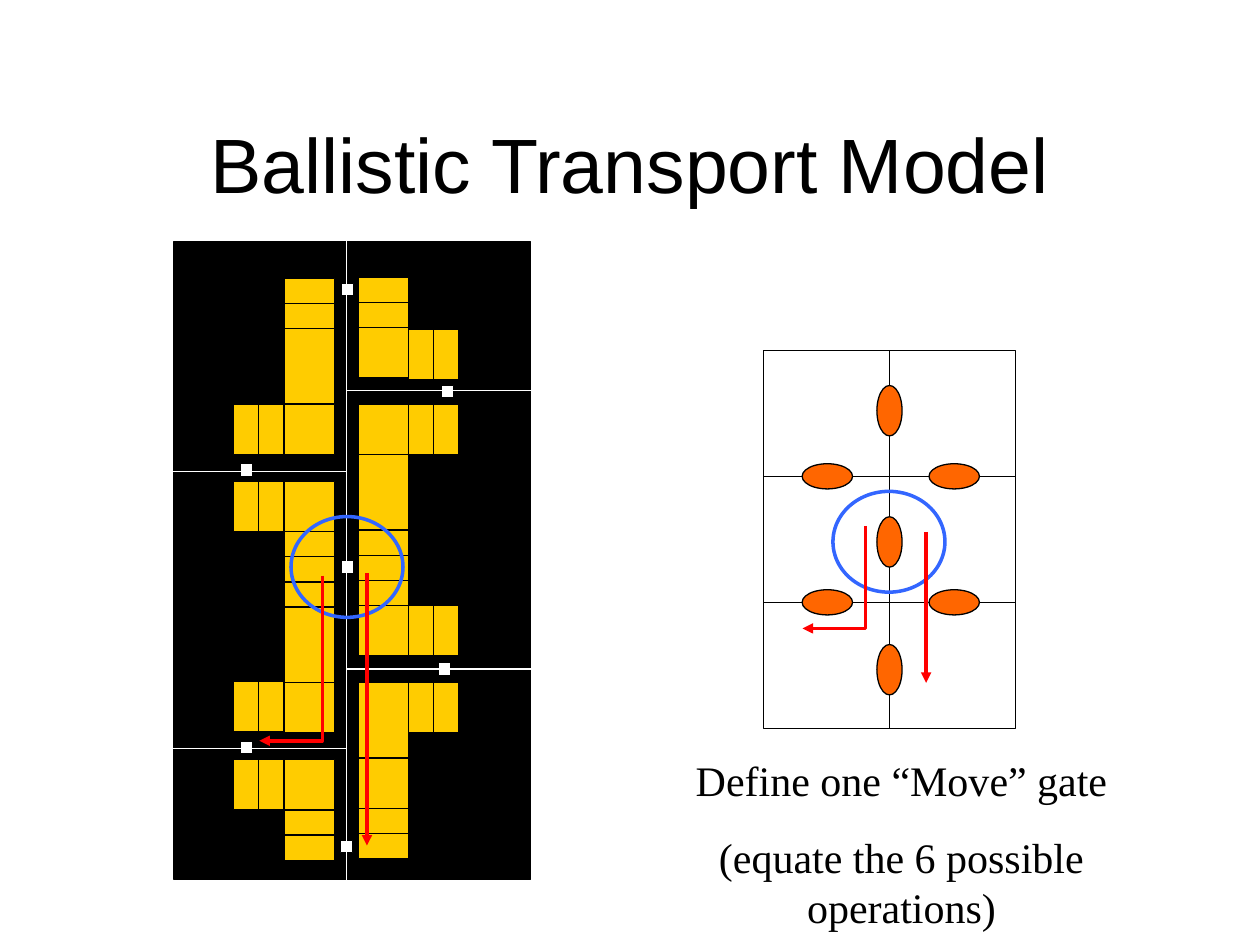
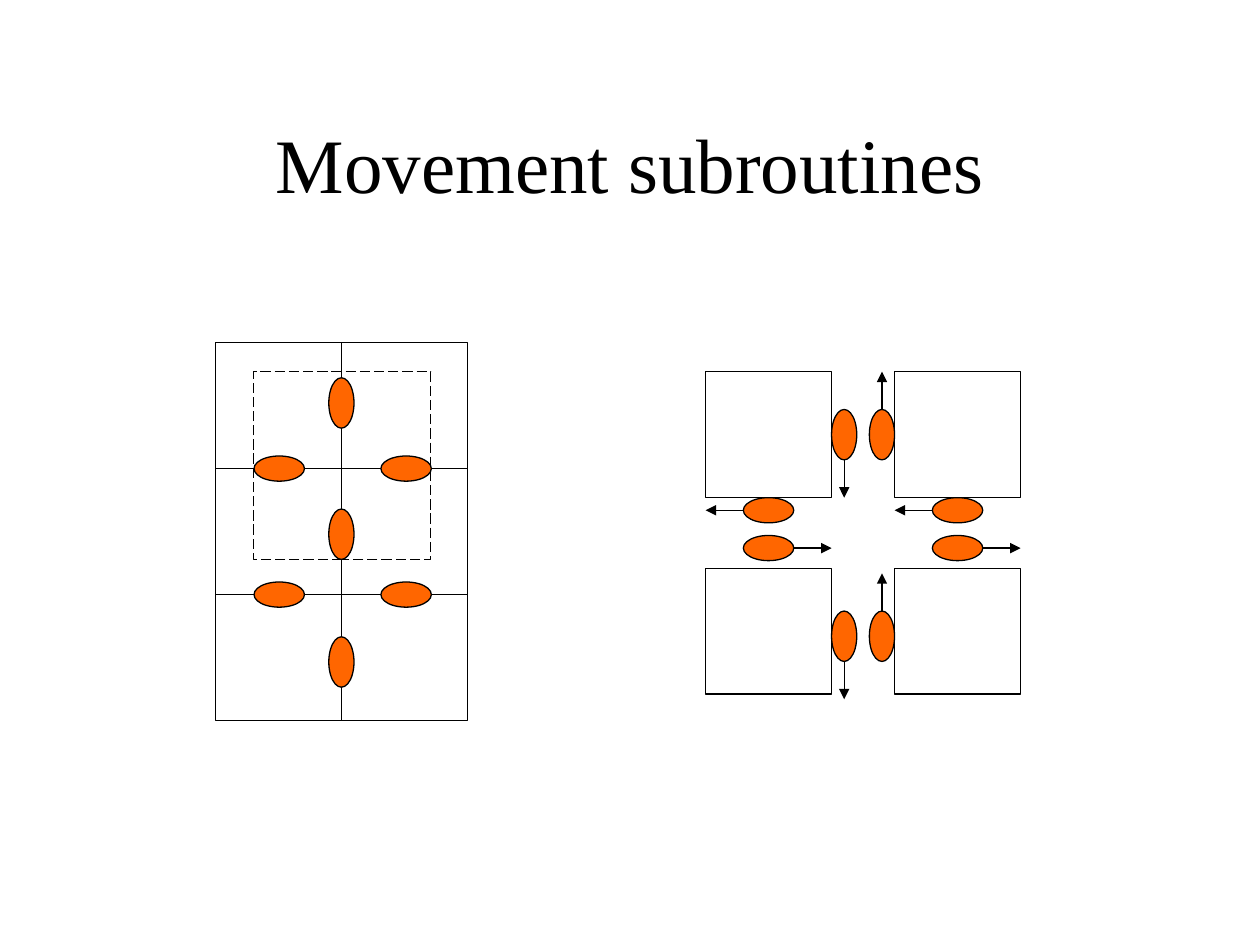
from itertools import product

from lxml import etree
from pptx import Presentation
from pptx.dml.color import RGBColor
from pptx.enum.dml import MSO_LINE
from pptx.enum.shapes import MSO_CONNECTOR, MSO_SHAPE
from pptx.enum.text import MSO_ANCHOR, MSO_AUTO_SIZE, PP_ALIGN
from pptx.oxml.ns import qn
from pptx.util import Pt

RECTANGLE = MSO_SHAPE.RECTANGLE
OVAL = MSO_SHAPE.OVAL
STRAIGHT = MSO_CONNECTOR.STRAIGHT
ELBOW = MSO_CONNECTOR.ELBOW
LONG_DASH = MSO_LINE.LONG_DASH
CENTER = PP_ALIGN.CENTER
MIDDLE = MSO_ANCHOR.MIDDLE
FIT_SHAPE = MSO_AUTO_SIZE.SHAPE_TO_FIT_TEXT

BLACK, WHITE, RED = "000000", "FFFFFF", "FF0000"
GOLD, ORANGE, BLUE = "FFCC00", "FF6600", "3366FF"
SANS, SERIF = "Arial", "Times New Roman"
TITLE_ONLY = 5
UNIT = 14.4
TILE = 72
GATE_LONG, GATE_SHORT = 28.8, 14.4


def color(value):
    """Return the colour for a hex string."""
    return RGBColor.from_string(value)


def write_text(frame, text, font=SERIF, size=24, ink=BLACK, space_before=0):
    """Fill a text frame with one centred paragraph per line of text."""
    frame.word_wrap = True
    for index, line in enumerate(text.split("\n")):
        paragraph = frame.paragraphs[0] if index == 0 else frame.add_paragraph()
        paragraph.alignment = CENTER
        if index:
            paragraph.space_before = Pt(space_before)
        run = paragraph.add_run()
        run.text = line
        run.font.name = font
        run.font.size = Pt(size)
        run.font.color.rgb = color(ink)


class Deck:
    """Hold the presentation, its shared style and the current slide."""

    def __init__(self):
        """Start an empty 10 by 7.5 inch presentation."""
        self.presentation = Presentation()
        self.presentation.slide_width = Pt(720)
        self.presentation.slide_height = Pt(540)
        self.slide = None

    def add_slide(self, title, font):
        """Add a slide with a centred title."""
        layout = self.presentation.slide_layouts[TITLE_ONLY]
        self.slide = self.presentation.slides.add_slide(layout)
        shape = self.slide.shapes.title
        shape.left, shape.top = Pt(54), Pt(48)
        shape.width, shape.height = Pt(612), Pt(90)
        shape.text_frame.vertical_anchor = MIDDLE
        write_text(shape.text_frame, title, font=font, size=44)

    def shape(self, kind, left, top, width, height, fill=None, line=BLACK,
              weight=0.75, dash=None):
        """Draw a preset shape."""
        shape = self.slide.shapes.add_shape(
            kind, Pt(left), Pt(top), Pt(width), Pt(height))
        shape.shadow.inherit = False
        if fill:
            shape.fill.solid()
            shape.fill.fore_color.rgb = color(fill)
        else:
            shape.fill.background()
        shape.line.color.rgb = color(line)
        shape.line.width = Pt(weight)
        if dash:
            shape.line.dash_style = dash

    def gate(self, center_x, center_y, upright=False):
        """Draw an orange gate around its centre."""
        width, height = GATE_LONG, GATE_SHORT
        if upright:
            width, height = height, width
        self.shape(OVAL, center_x - width / 2, center_y - height / 2,
                   width, height, fill=ORANGE)

    def arrow(self, x1, y1, x2, y2, line=BLACK, weight=0.75, kind=STRAIGHT):
        """Draw a connector with an arrowhead at its end."""
        connector = self.slide.shapes.add_connector(
            kind, Pt(x1), Pt(y1), Pt(x2), Pt(y2))
        connector.line.color.rgb = color(line)
        connector.line.width = Pt(weight)
        properties = connector._element.spPr
        etree.SubElement(properties.find(qn("a:ln")), qn("a:tailEnd"),
                         type="triangle")
        etree.SubElement(properties, qn("a:effectLst"))
        return connector

    def turn_arrow(self, x, y, drop, run):
        """Draw a red arrow that goes down and then turns left."""
        left = x - run / 2 - drop / 2
        top = y + drop / 2 - run / 2
        connector = self.arrow(left, top, left + drop, top + run,
                               line=RED, weight=2, kind=ELBOW)
        properties = connector._element.spPr
        properties.find(qn("a:xfrm")).set("rot", "5400000")
        properties.find(qn("a:prstGeom")).set("prst", "bentConnector2")

    def focus_ring(self, left, top):
        """Draw the blue ring that marks the studied gate."""
        self.shape(OVAL, left, top, 64, 57.6, line=BLUE, weight=2)

    def text_box(self, left, top, width, height, text, **text_format):
        """Add a text box."""
        box = self.slide.shapes.add_textbox(
            Pt(left), Pt(top), Pt(width), Pt(height))
        write_text(box.text_frame, text, **text_format)
        box.text_frame.auto_size = FIT_SHAPE

    def tile_map(self, left, top):
        """Draw a grid of two by three tiles with gates on its inner edges."""
        for row, column in product(range(3), range(2)):
            self.shape(RECTANGLE, left + column * TILE, top + row * TILE,
                       TILE, TILE)
        for row, x in product((1, 2), (36.5, 109)):
            self.gate(left + x, top + row * TILE)
        for y in (34.5, 109.5, 182.5):
            self.gate(left + TILE, top + y, upright=True)


def draw_electrodes(deck):
    """Draw the black trap layout with its gold electrodes."""
    deck.shape(RECTANGLE, 99.4, 138.2, 203.8, 364.3, fill=BLACK)
    stacks = [
        (162.5, 159, (1, 1, 3, 2)),
        (162.5, 275, (2, 1, 1, 1, 3, 2)),
        (162.5, 434, (2, 1, 1)),
        (205, 158.5, (1, 1, 2)),
        (205, 231, (2, 3, 1, 1, 1, 2)),
        (205, 390, (3, 2, 1, 1)),
    ]
    for left, top, heights in stacks:
        for units in heights:
            deck.shape(RECTANGLE, left, top, 2 * UNIT, units * UNIT, fill=GOLD)
            top += units * UNIT
    arms = [(133.5, (231, 275, 389.5, 434)), (233.5, (188, 231, 346, 390))]
    for left, tops in arms:
        for top, column in product(tops, range(2)):
            deck.shape(RECTANGLE, left + column * UNIT, top, UNIT, 2 * UNIT,
                       fill=GOLD)
    ions = [(195, 162), (252, 220.3), (137.5, 265), (195, 320.4),
            (250.6, 378.7), (137.5, 423.4), (194.4, 480.2)]
    for left, top in ions:
        deck.shape(RECTANGLE, left, top, 7.2, 7.2, fill=WHITE)
    regions = [
        (198, 115.2, 108, 108),
        (56.2, 119.5, 141.8, 149.8),
        (198, 223.2, 128.2, 158.8),
        (69.8, 269.3, 128.2, 158.4),
        (198, 382.3, 141.8, 149.8),
    ]
    for region in regions:
        deck.shape(RECTANGLE, *region, line=WHITE)


def build_transport_model(deck):
    """Build the slide that maps electrodes to a single move gate."""
    deck.add_slide("Ballistic Transport Model", SANS)
    draw_electrodes(deck)
    deck.focus_ring(166.3, 295.2)
    deck.tile_map(436.3, 200.2)
    deck.focus_ring(476, 280.8)
    deck.arrow(529.2, 304, 529.2, 390.2, line=RED, weight=2)
    deck.arrow(209.7, 327.6, 209.7, 483.2, line=RED, weight=2)
    deck.turn_arrow(184.2, 329, 94.3, 36)
    deck.turn_arrow(494.6, 300.5, 58.6, 36)
    deck.text_box(382.3, 427.7, 265.7, 108.7,
                  "Define one “Move” gate\n(equate the 6 possible operations)",
                  space_before=15)


def build_subroutines(deck):
    """Build the slide that shows the movement directions between tiles."""
    deck.add_slide("Movement subroutines", SERIF)
    deck.tile_map(123.1, 195.8)
    lefts, tops = (403.2, 511.2), (212.4, 324.7)
    for left, top in product(lefts, tops):
        deck.shape(RECTANGLE, left, top, TILE, TILE)
    reach = GATE_LONG / 2
    tip = reach + 21.6
    for left, (y, way) in product(lefts, ((291.6, -1), (313.2, 1))):
        x = left + TILE / 2
        deck.gate(x, y)
        deck.arrow(x + way * reach, y, x + way * tip, y)
    for y, (x, way) in product((248.4, 363.6), ((482.4, 1), (504, -1))):
        deck.gate(x, y, upright=True)
        deck.arrow(x, y + way * reach, x, y + way * tip)
    deck.shape(RECTANGLE, 144.7, 212.4, 101.5, 107.3, dash=LONG_DASH)


def main():
    """Build both slides and save the file."""
    deck = Deck()
    build_transport_model(deck)
    build_subroutines(deck)
    deck.presentation.save("out.pptx")


if __name__ == "__main__":
    main()
